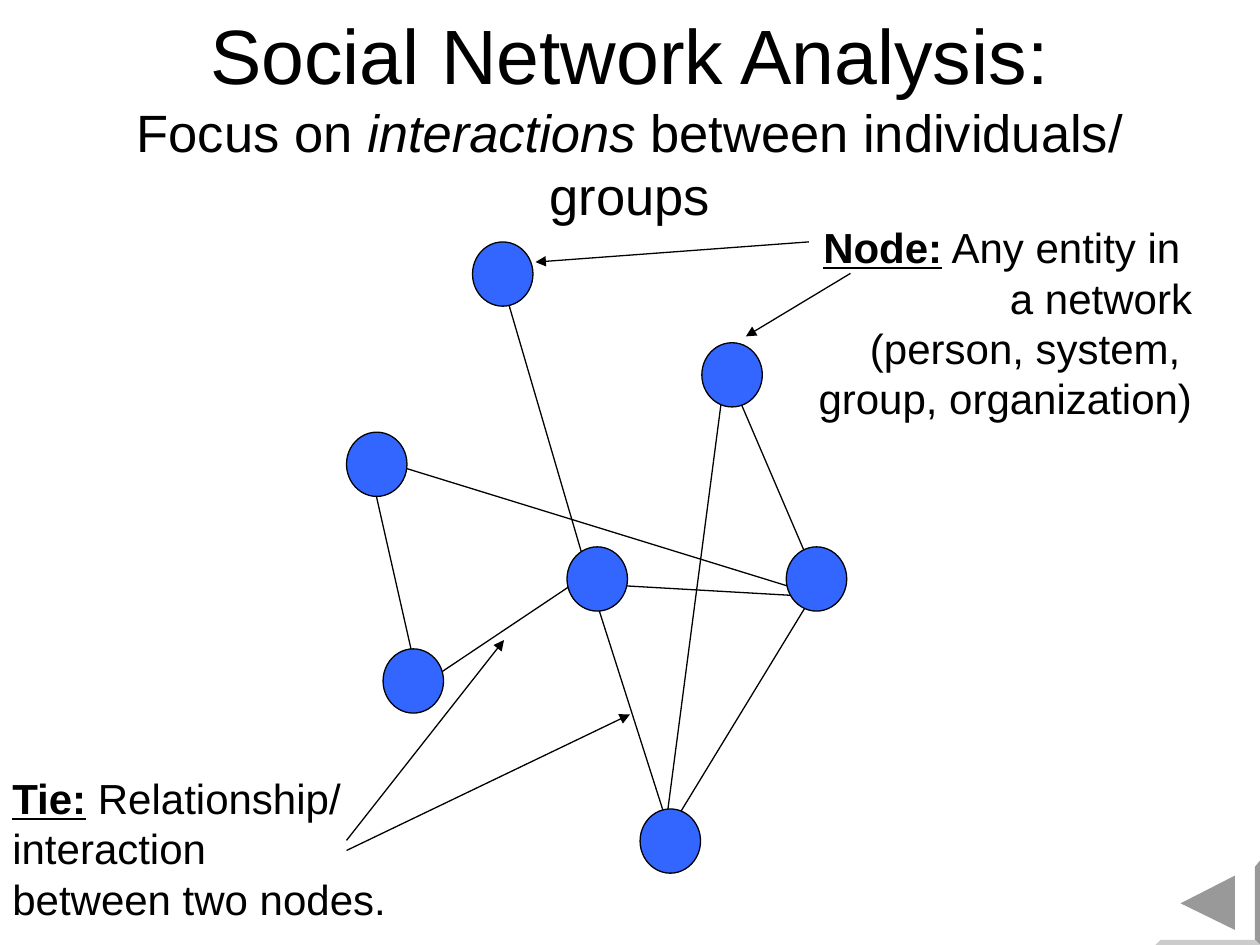
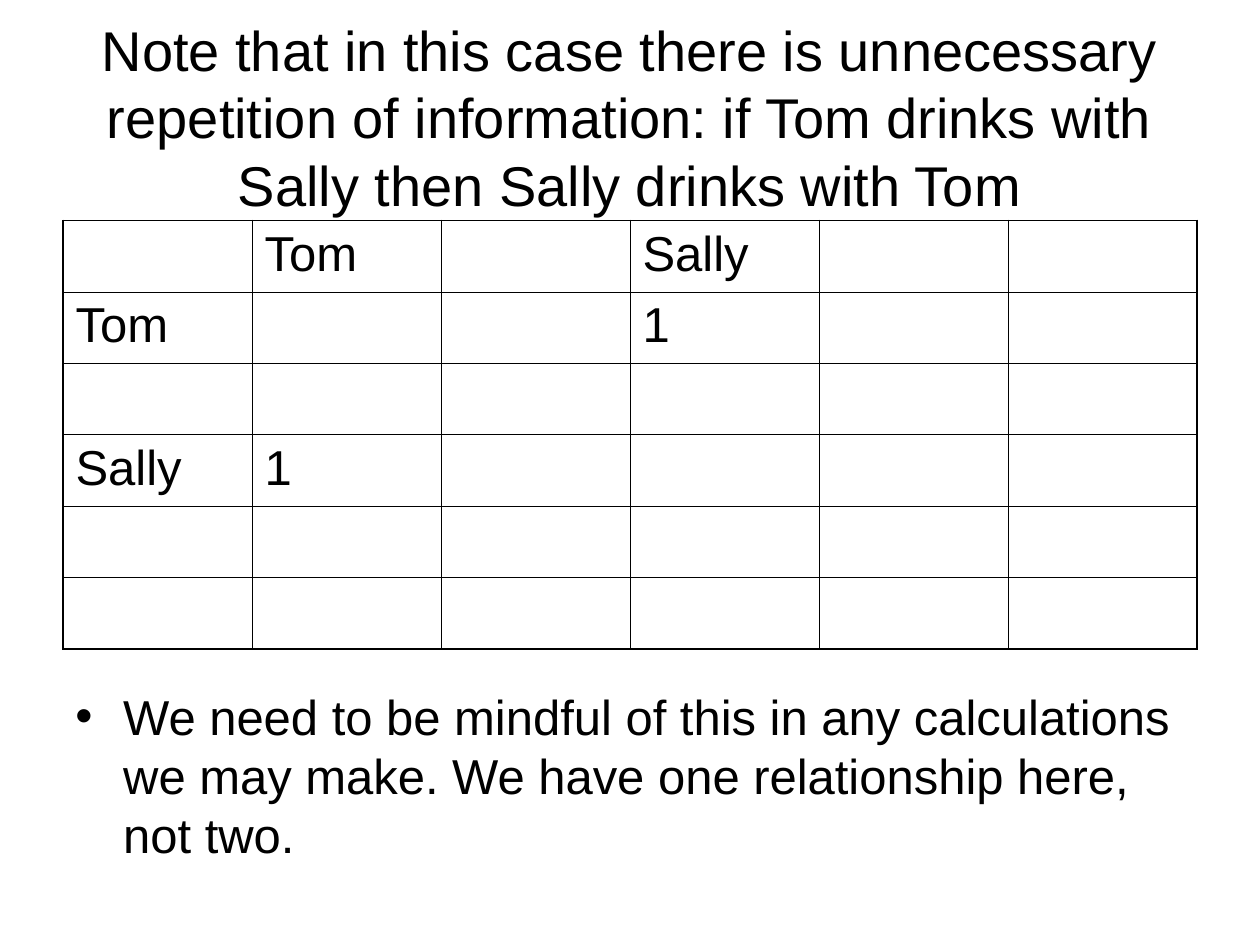
from typing import NamedTuple

from lxml import etree
from pptx import Presentation
from pptx.dml.color import RGBColor
from pptx.enum.shapes import MSO_CONNECTOR, MSO_SHAPE
from pptx.enum.text import MSO_ANCHOR, PP_ALIGN
from pptx.oxml.ns import qn
from pptx.util import Pt

PX = 9144
LEFT, MID, RIGHT = PP_ALIGN.LEFT, PP_ALIGN.CENTER, PP_ALIGN.RIGHT
CENTER = MSO_ANCHOR.MIDDLE
TOP = MSO_ANCHOR.TOP
OVAL, RECT = MSO_SHAPE.OVAL, MSO_SHAPE.RECTANGLE
LINE = MSO_CONNECTOR.STRAIGHT
FONT = "Arial"
HEX = {"ink": "000000", "paper": "FFFFFF", "node": "3366FF",
       "shade": "999999", "edge": "CCCCCC"}


class Box(NamedTuple):
    """A place in px."""
    x: int
    y: int
    w: int
    h: int


class Run(NamedTuple):
    """A piece of text in one style."""
    text: str
    size: int
    mark: bool = False
    lean: bool = False


class Link(NamedTuple):
    """A straight line in px."""
    x1: int
    y1: int
    x2: int
    y2: int


TITLE = Box(50, 30, 900, 125)
NODES = [(275, 343), (304, 515), (450, 434), (557, 272), (624, 434),
         (375, 192), (508, 642)]
TIES = [
    Link(469, 464, 537, 677), Link(479, 464, 654, 474),
    Link(401, 232, 469, 464), Link(527, 666, 576, 292),
    Link(527, 666, 644, 474), Link(576, 292, 654, 474),
    Link(294, 363, 654, 474), Link(333, 545, 469, 454),
    Link(294, 373, 333, 545),
]
ARROWS = [Link(275, 667, 400, 508), Link(275, 675, 500, 567),
          Link(642, 192, 425, 208), Link(675, 217, 592, 267)]
BUTTON = [
    ("paper", [(917, 683), (1000, 683), (1000, 750), (917, 750)]),
    ("shade", [(1000, 683), (1000, 750), (996, 746), (996, 688)]),
    ("edge", [(1000, 750), (917, 750), (921, 746), (996, 746)]),
    ("shade", [(937, 717), (980, 695), (980, 738)]),
]
GRID = 6
CELLS = {(0, 1): "Tom", (0, 3): "Sally", (1, 0): "Tom", (1, 3): "1",
         (3, 0): "Sally", (3, 1): "1"}


def tint(name: str) -> RGBColor:
    """Look up a colour."""
    return RGBColor.from_string(HEX[name])


def place(box: Box) -> list[int]:
    """Turn px into EMU."""
    return [PX * side for side in box]


def paint(shape, fill: str, edge: str = "") -> None:
    """Give a shape a flat fill and an optional thin edge."""
    shape.shadow.inherit = False
    shape.fill.solid()
    shape.fill.fore_color.rgb = tint(fill)
    if edge:
        shape.line.color.rgb = tint(edge)
        shape.line.width = Pt(0.75)
    else:
        shape.line.fill.background()


def add_run(para, run: Run) -> None:
    """Add one styled run; a newline becomes a line break."""
    if run.text == "\n":
        para.add_line_break()
        return
    piece = para.add_run()
    piece.text = run.text
    font = piece.font
    font.name, font.size = FONT, Pt(run.size)
    font.color.rgb = tint("ink")
    font.bold = font.underline = run.mark
    font.italic = run.lean


def write(frame, paras: list[list[Run]], align=LEFT, anchor=TOP,
          wrap: bool = True) -> None:
    """Fill a text frame with paragraphs."""
    frame.word_wrap = wrap
    frame.vertical_anchor = anchor
    for spot, runs in enumerate(paras):
        para = frame.add_paragraph() if spot else frame.paragraphs[0]
        para.alignment = align
        for run in runs:
            add_run(para, run)


def add_text(slide, box: Box, paras: list[list[Run]], align=LEFT,
             anchor=TOP):
    """Add a text box."""
    frame = slide.shapes.add_textbox(*place(box)).text_frame
    write(frame, paras, align, anchor)
    return frame


def add_title(slide, runs: list[Run]) -> None:
    """Add the shared title."""
    add_text(slide, TITLE, [runs], MID, CENTER)


def add_link(slide, link: Link, arrow: bool = False) -> None:
    """Draw a thin line, with an arrowhead if asked."""
    wire = slide.shapes.add_connector(LINE, *(PX * end for end in link))
    wire.line.color.rgb = tint("ink")
    wire.line.width = Pt(0.75)
    if arrow:
        etree.SubElement(wire.line._get_or_add_ln(), qn("a:tailEnd"),
                         type="triangle", w="med", len="med")
    etree.SubElement(wire._element.spPr, qn("a:effectLst"))


def add_button(slide) -> None:
    """Draw the bevelled back button."""
    for fill, points in BUTTON:
        pen = slide.shapes.build_freeform(*points[0], scale=PX)
        pen.add_line_segments(points[1:], close=True)
        paint(pen.convert_to_shape(), fill)


def add_edge(cell, side: str, width: float) -> None:
    """Draw one border of a cell."""
    line = etree.SubElement(cell._tc.get_or_add_tcPr(), qn(f"a:ln{side}"),
                            w=str(Pt(width)))
    fill = etree.SubElement(line, qn("a:solidFill"))
    etree.SubElement(fill, qn("a:srgbClr"), val=HEX["ink"])


def add_grid(slide, box: Box) -> None:
    """Add the matrix of who drinks with whom."""
    table = slide.shapes.add_table(GRID, GRID, *place(box)).table
    table.first_row = table.horz_banding = False
    last = GRID - 1
    for row in range(GRID):
        for col in range(GRID):
            cell = table.cell(row, col)
            outer = {"L": col == 0, "R": col == last,
                     "T": row == 0, "B": row == last}
            for side, thick in outer.items():
                add_edge(cell, side, 1.08 if thick else 0.45)
            cell.fill.background()
            if (row, col) in CELLS:
                write(cell.text_frame, [[Run(CELLS[row, col], 28)]])


def add_bullet(para) -> None:
    """Give a paragraph a hanging bullet."""
    props = para._p.get_or_add_pPr()
    props.set("marL", str(38 * PX))
    props.set("indent", str(-38 * PX))
    color = etree.SubElement(props, qn("a:buClr"))
    etree.SubElement(color, qn("a:srgbClr"), val=HEX["ink"])
    etree.SubElement(props, qn("a:buFont"), typeface=FONT)
    etree.SubElement(props, qn("a:buChar"), char="•")


def draw_net(slide) -> None:
    """Build the network slide."""
    for tie in TIES:
        add_link(slide, tie)
    for x, y in NODES:
        dot = slide.shapes.add_shape(OVAL, *place(Box(x, y, 48, 51)))
        paint(dot, "node", "ink")
    add_title(slide, [
        Run("Social Network Analysis:", 44), Run("\n", 44),
        Run("Focus on ", 30), Run("interactions", 30, lean=True),
        Run(" between individuals/ groups", 30)])
    add_text(slide, Box(0, 608, 353, 130), [
        [Run("Tie:", 24, mark=True), Run(" Relationship/ interaction", 24)],
        [Run("between two nodes.", 24)]])
    note = slide.shapes.add_shape(RECT, *place(Box(640, 171, 316, 170)))
    paint(note, "paper")
    write(note.text_frame, [
        [Run("Node:", 24, mark=True), Run(" Any entity in ", 24)],
        [Run("a network", 24)],
        [Run("(person, system, ", 24)],
        [Run("group, organization)", 24)]], RIGHT, wrap=False)
    for arrow in ARROWS:
        add_link(slide, arrow, True)
    add_button(slide)


def draw_table(slide) -> None:
    """Build the matrix slide."""
    add_title(slide, [Run(
        "Note that in this case there is unnecessary repetition of "
        "information: if Tom drinks with Sally then Sally drinks with Tom",
        32)])
    add_grid(slide, Box(50, 175, 900, 340))
    frame = add_text(slide, Box(50, 540, 900, 157), [[Run(
        "We need to be mindful of this in any calculations we may make. "
        "We have one relationship here, not two.", 28)]])
    add_bullet(frame.paragraphs[0])


def main() -> None:
    """Build and save the deck."""
    deck = Presentation()
    deck.slide_width, deck.slide_height = 1000 * PX, 750 * PX
    for draw in (draw_net, draw_table):
        draw(deck.slides.add_slide(deck.slide_layouts[6]))
    deck.save("out.pptx")


if __name__ == "__main__":
    main()
